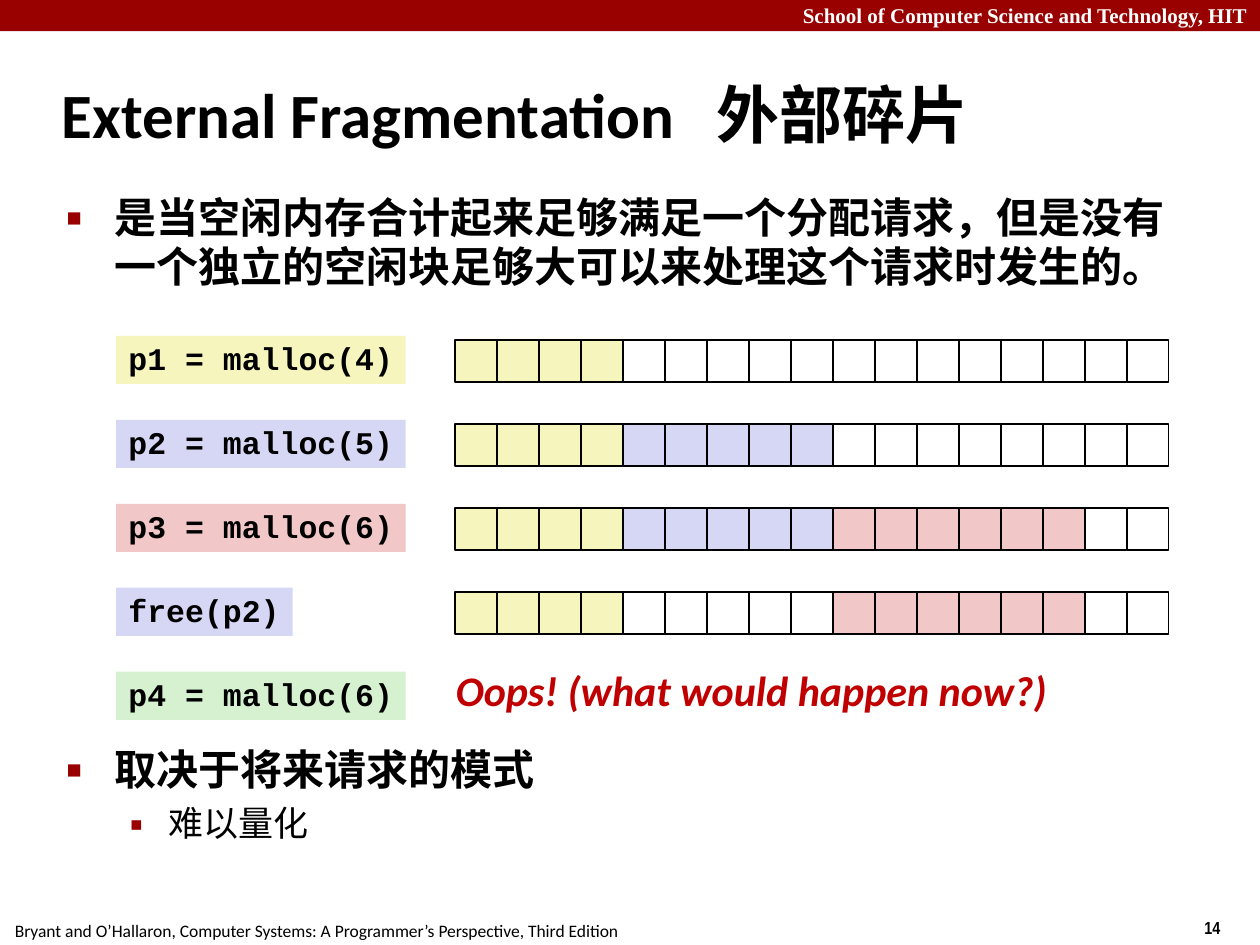
from lxml.etree import SubElement
from pptx import Presentation
from pptx.dml.color import RGBColor as Rgb
from pptx.enum.shapes import MSO_SHAPE as Kind
from pptx.enum.text import MSO_ANCHOR as Anchor, PP_ALIGN as Align
from pptx.oxml.ns import qn
from pptx.util import Cm, Pt

INK = {
    "bar": "990000", "text": "000000", "free": "FFFFFF", "oops": "C00000",
    "p1": "F6F5BD", "p2": "D6D6F5", "p3": "F1C7C7", "p4": "D5F1CF",
}
COUNT = 17
CELL = 14.39 / COUNT
PITCH = 2 * CELL
LEFT, TOP = 9.17, 6.86
ROWS = [
    ("p1 = malloc(4)", "p1", 5.84, [("p1", 4), ("free", 13)]),
    ("p2 = malloc(5)", "p2", 5.84, [("p1", 4), ("p2", 5), ("free", 8)]),
    ("p3 = malloc(6)", "p3", 5.84,
     [("p1", 4), ("p2", 5), ("p3", 6), ("free", 2)]),
    ("free(p2)", "p2", 3.56,
     [("p1", 4), ("free", 5), ("p3", 6), ("free", 2)]),
    ("p4 = malloc(6)", "p4", 5.84, []),
]


def tint(name):
    return Rgb.from_string(INK[name])


def write(par, text, size, face="Calibri", ink="text", bold=False, slant=False):
    run = par.add_run()
    run.text = text
    font = run.font
    font.size, font.name = Pt(size), face
    font.bold, font.italic = bold, slant
    font.color.rgb = tint(ink)


def place(shape, left, top, width, height):
    shape.left, shape.top = Cm(left), Cm(top)
    shape.width, shape.height = Cm(width), Cm(height)


def rect(shapes, left, top, width, height, fill, line=None):
    box = shapes.add_shape(Kind.RECTANGLE, Cm(left), Cm(top), Cm(width), Cm(height))
    box.shadow.inherit = False
    box.fill.solid()
    box.fill.fore_color.rgb = tint(fill)
    if line:
        box.line.color.rgb = tint(line)
        box.line.width = Pt(1)
    else:
        box.line.fill.background()
    return box


def note(shapes, area, text, size, align=Align.LEFT, wrap=False, **style):
    box = shapes.add_textbox(*map(Cm, area))
    box.text_frame.word_wrap = wrap
    par = box.text_frame.paragraphs[0]
    par.alignment = align
    write(par, text, size, **style)


def label(shapes, top, width, text, fill):
    box = rect(shapes, 2.34, top, width, 0.97, fill)
    frame = box.text_frame
    frame.word_wrap = False
    frame.vertical_anchor = Anchor.TOP
    par = frame.paragraphs[0]
    par.alignment = Align.LEFT
    par.line_spacing = 0.94
    write(par, text, 18, "Courier New", bold=True)


def heap(shapes, top, blocks):
    group = shapes.add_group_shape()
    fills = [name for name, size in blocks for _ in range(size)]
    for col, fill in enumerate(fills):
        rect(group.shapes, LEFT + col * CELL, top, CELL, CELL, fill, "text")


def bullet(par, mark, scale, left, hang, before):
    par.line_spacing = 0.98
    par.space_before = Pt(before)
    props = par._p.get_or_add_pPr()
    props.set("marL", str(Cm(left)))
    props.set("indent", str(-Cm(hang)))
    color = SubElement(props, qn("a:buClr"))
    SubElement(color, qn("a:srgbClr"), val=INK["bar"])
    SubElement(props, qn("a:buSzPct"), val=str(scale * 1000))
    SubElement(props, qn("a:buFont"), typeface="Arial")
    SubElement(props, qn("a:buChar"), char=mark)


def head(shape):
    place(shape, 0.99, 1.22, 21.08, 2.11)
    shape.text_frame.vertical_anchor = Anchor.MIDDLE
    par = shape.text_frame.paragraphs[0]
    par.alignment = Align.LEFT
    tabs = SubElement(par._p.get_or_add_pPr(), qn("a:tabLst"))
    SubElement(tabs, qn("a:tab"), pos=str(Cm(13.2)), algn="l")
    write(par, "External Fragmentation\t外部碎片", 36, bold=True)


def points(shape):
    place(shape, 1.09, 3.78, 23.19, 13.82)
    frame = shape.text_frame
    first = frame.paragraphs[0]
    bullet(first, "■", 60, 0.97, 0.97, 6)
    write(first, "是当空闲内存合计起来足够满足一个分配请求，但是没有"
                 "一个独立的空闲块足够大可以来处理这个请求时发生的。", 24, bold=True)
    second = frame.add_paragraph()
    bullet(second, "■", 60, 0.97, 0.97, 259)
    write(second, "取决于将来请求的模式", 24, bold=True)
    sub = frame.add_paragraph()
    sub.level = 1
    bullet(sub, "▪", 110, 2.06, 0.79, 5)
    write(sub, "难以量化", 20)


def frame_page(shapes):
    rect(shapes, 0, 0, 25.4, 0.63, "bar")
    note(shapes, (0, -0.08, 25.4, 0.76),
         "School of Computer Science and Technology, HIT", 12, Align.RIGHT, True,
         face="Times New Roman", ink="free", bold=True)
    note(shapes, (0.05, 18.42, 12.73, 0.69),
         "Bryant and O’Hallaron, Computer Systems: "
         "A Programmer’s Perspective, Third Edition", 10)
    note(shapes, (24.03, 18.36, 1.9, 0.69), "14", 10,
         face="Arial Narrow", bold=True)


def main():
    deck = Presentation()
    deck.slide_width, deck.slide_height = Cm(25.4), Cm(19.05)
    slide = deck.slides.add_slide(deck.slide_layouts[1])
    shapes = slide.shapes
    frame_page(shapes)
    head(shapes.title)
    points(slide.placeholders[1])
    for row, (text, fill, width, blocks) in enumerate(ROWS):
        top = TOP + row * PITCH
        if blocks:
            heap(shapes, top, blocks)
        label(shapes, top - 0.09, width, text, fill)
    note(shapes, (8.94, 13.28, 12.42, 1.27), "Oops! (what would happen now?)", 24,
         ink="oops", bold=True, slant=True)
    deck.save("out.pptx")


if __name__ == "__main__":
    main()
